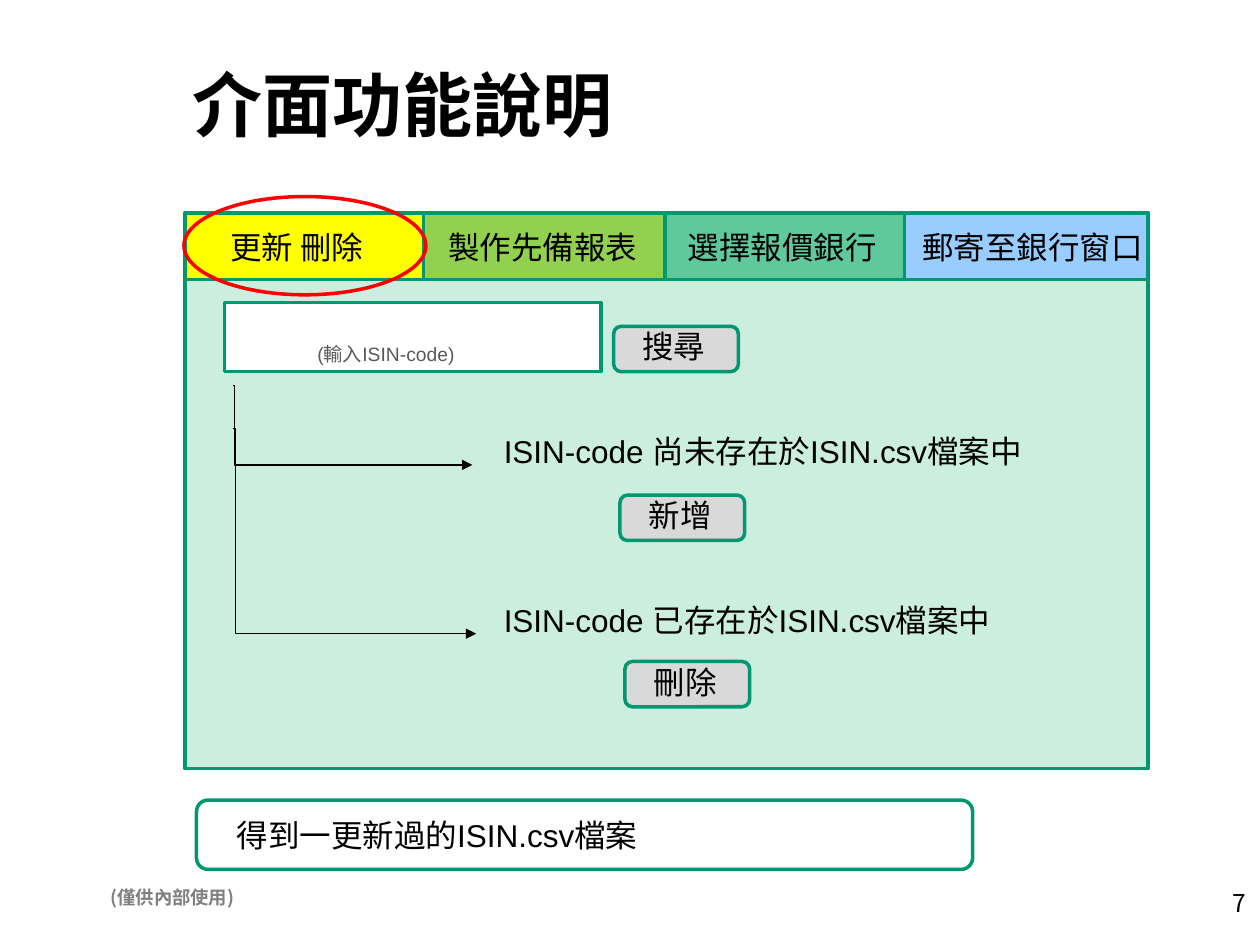
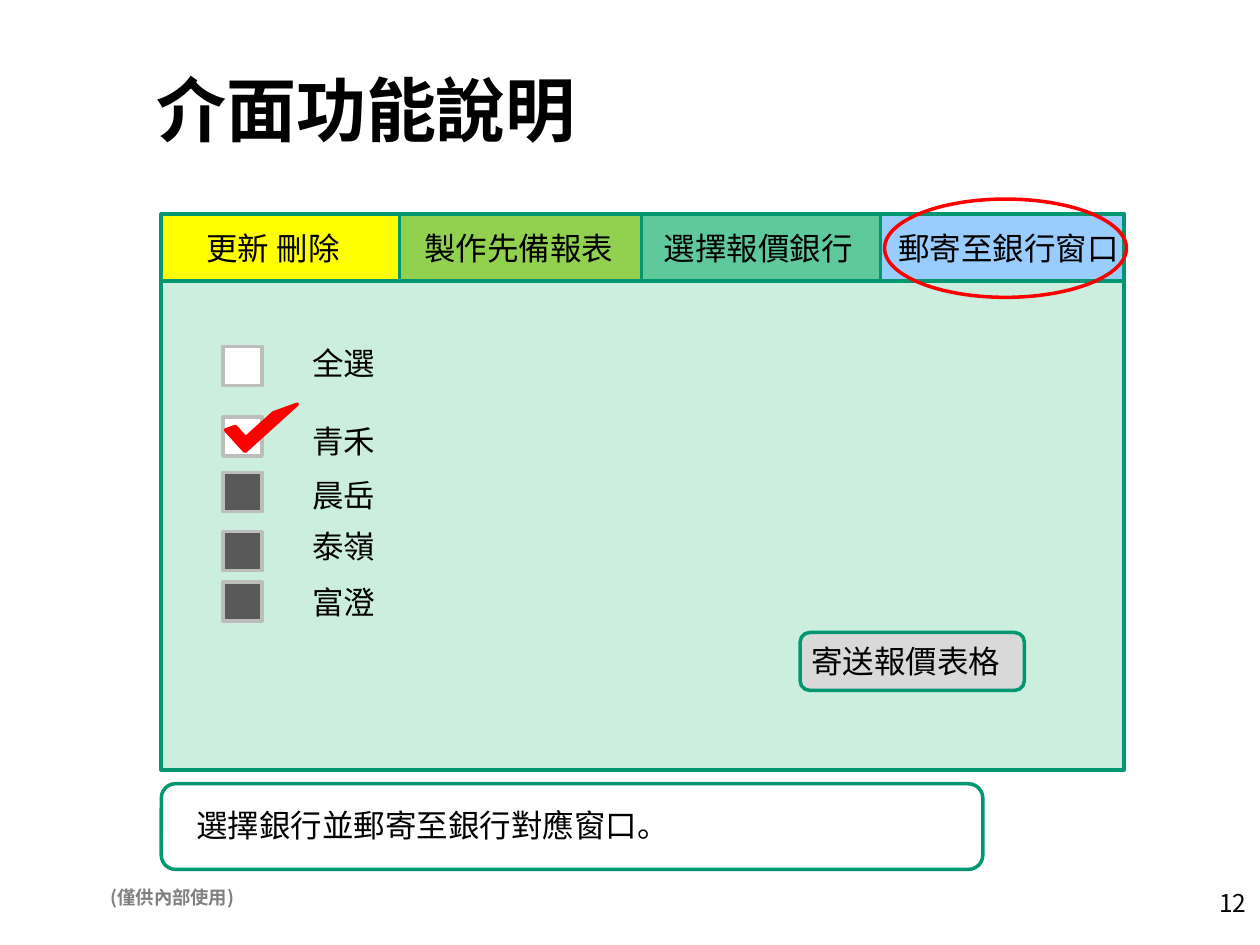
from itertools import accumulate

from lxml.etree import SubElement
from pptx import Presentation
from pptx.dml.color import RGBColor
from pptx.enum.shapes import MSO_CONNECTOR, MSO_SHAPE
from pptx.enum.text import MSO_ANCHOR, PP_ALIGN
from pptx.oxml.ns import qn
from pptx.util import Pt

PX = 9144  # EMU per px, 100 px to the inch
GREEN, RED, BLACK, WHITE = "009771", "FF0000", "000000", "FFFFFF"
MINT, LIGHT_GREY, DARK_GREY, BOX_GREY = "CCEEDF", "D9D9D9", "595959", "BDBDBD"
LATIN, CJK = "Arial", "Noto Sans CJK SC"

PANEL_W, PANEL_H, TAB_H, LINE_H = 764, 441, 53, 40
# label, width, fill, label indent
TABS = [
    ("更新 刪除", 189, "FFFF00", 26),
    ("製作先備報表", 192, "92D050", 10),
    ("選擇報價銀行", 190, "60C99C", 8),
    ("郵寄至銀行窗口", 193, "99CCFF", 4),
]
TAB_LEFTS = [0, *accumulate(width for _, width, _, _ in TABS)][:-1]


def color(hex_value):
    return RGBColor.from_string(hex_value)


def emu(*lengths):
    return [round(length * PX) for length in lengths]


def style_text(paragraph, size, ink, font_name, bold=False):
    font = paragraph.font
    font.size, font.name, font.bold = Pt(size), font_name, bold
    font.color.rgb = color(ink)
    for run in paragraph.runs:
        SubElement(run._r.get_or_add_rPr(), qn("a:ea")).set("typeface", CJK)


def add_text(slide, text, left, top, width, height=LINE_H, size=18, ink=BLACK,
             font_name=LATIN, bold=False, align=PP_ALIGN.LEFT):
    frame = slide.shapes.add_textbox(*emu(left, top, width, height)).text_frame
    frame.word_wrap = True
    frame.text = text
    paragraph = frame.paragraphs[0]
    paragraph.alignment = align
    style_text(paragraph, size, ink, font_name, bold)


def add_outline(slide, preset, left, top, width, height, fill=None, line=GREEN):
    shape = slide.shapes.add_shape(preset, *emu(left, top, width, height))
    shape.shadow.inherit = False
    if fill:
        shape.fill.solid()
        shape.fill.fore_color.rgb = color(fill)
    else:
        shape.fill.background()
    shape.line.color.rgb = color(line)
    shape.line.width = Pt(2)
    return shape


def add_branch(slide, left, top, right, bottom, bend):
    """Elbow arrow that turns at bend, in thousandths of a percent of its width."""
    arrow = slide.shapes.add_connector(
        MSO_CONNECTOR.ELBOW, *emu(left, top, right, bottom))
    arrow.line.color.rgb = color(BLACK)
    arrow.line.width = Pt(0.75)
    properties = arrow._element.spPr
    SubElement(properties.find(qn("a:ln")), qn("a:tailEnd")).set("type", "triangle")
    SubElement(properties, qn("a:effectLst"))
    guide = SubElement(properties.find(qn("a:prstGeom")).find(qn("a:avLst")), qn("a:gd"))
    guide.set("name", "adj1")
    guide.set("fmla", f"val {bend}")


def start_slide(deck, title_left, title_top, number):
    slide = deck.slides.add_slide(deck.slide_layouts[5])
    title = slide.shapes.title
    title.left, title.top, title.width, title.height = emu(title_left, title_top, 895, 67)
    frame = title.text_frame
    frame.text = "介面功能說明"
    frame.vertical_anchor = MSO_ANCHOR.MIDDLE
    frame.paragraphs[0].alignment = PP_ALIGN.LEFT
    style_text(frame.paragraphs[0], 40, BLACK, CJK, bold=True)
    add_text(slide, "(僅供內部使用)", 78, 698, 195, 28, 10.5, "808080", CJK, bold=True)
    add_text(slide, number, 957, 700, 42, 33, 14, font_name=CJK, align=PP_ALIGN.RIGHT)
    return slide


def add_panel(slide, left, top):
    add_outline(slide, MSO_SHAPE.RECTANGLE, left, top, PANEL_W, PANEL_H, MINT)
    for (_, width, fill, _), tab_left in zip(TABS, TAB_LEFTS):
        add_outline(slide, MSO_SHAPE.RECTANGLE, left + tab_left, top, width, TAB_H, fill)
    for (label, width, _, indent), tab_left in zip(TABS, TAB_LEFTS):
        add_text(slide, label, left + tab_left + indent, top + 7, width + 12)


def add_tab_marker(slide, left, top):
    add_outline(slide, MSO_SHAPE.OVAL, left, top, 192, 78, line=RED)


def add_button(slide, label, left, top, width=99, height=36, indent=13, rise=4):
    add_outline(slide, MSO_SHAPE.ROUNDED_RECTANGLE, left, top, width, height, LIGHT_GREY)
    add_text(slide, label, left + indent, top - rise, width + 10)


def add_result(slide, text, left, top, width, height, indent, drop):
    add_outline(slide, MSO_SHAPE.ROUNDED_RECTANGLE, left, top, width, height)
    add_text(slide, text, left + indent, top + drop, width - indent - 10)


def add_search(slide, left, top):
    """Search field with the two outcomes that branch from it."""
    add_outline(slide, MSO_SHAPE.RECTANGLE, left, top, 299, 55, WHITE)
    add_text(slide, "(輸入ISIN-code)", left + 64, top + 27, 267, 29, 11, DARK_GREY)
    add_button(slide, "搜尋", left + 309, top + 19)
    outcomes = [
        ("尚未存在於", "新增", 98, 66, (197, 129), 314, 153, 700),
        ("已存在於", "刪除", 232, 100, (200, 263), 318, 285, 900),
    ]
    for state, action, drop, start, end, button_x, button_y, bend in outcomes:
        add_branch(slide, left + 7, top + start, left + end[0], top + end[1], bend)
        add_text(slide, f"ISIN-code {state}ISIN.csv檔案中", left + 212, top + drop, 457)
        add_button(slide, action, left + button_x, top + button_y)


def add_bank_choices(slide, left, top):
    # name, checkbox top, label top, fill
    choices = [
        ("全選", 7, 0, WHITE),
        ("青禾", 63, 62, WHITE),
        ("晨岳", 107, 105, DARK_GREY),
        ("泰嶺", 154, 145, DARK_GREY),
        ("富澄", 194, 190, DARK_GREY),
    ]
    for name, box_top, label_top, fill in choices:
        add_outline(slide, MSO_SHAPE.RECTANGLE, left, top + box_top, 31, 31, fill, BOX_GREY)
        add_text(slide, name, left + 61, top + label_top, 181)
    tick = add_outline(slide, MSO_SHAPE.HALF_FRAME, left + 19, top + 35, 23, 56, RED, RED)
    tick.rotation = 227.9


def build_update_slide(deck):
    slide = start_slide(deck, 143, 49, "7")
    left, top = 147, 169
    add_panel(slide, left, top)
    add_search(slide, left + 31, top + 71)
    add_result(slide, "得到一更新過的ISIN.csv檔案", left + 9, top + 466, 616, 55, 22, 8)
    add_tab_marker(slide, left - 1, top - 13)


def build_mailing_slide(deck):
    slide = start_slide(deck, 114, 53, "12")
    left, top = 128, 170
    add_panel(slide, left, top)
    add_bank_choices(slide, left + 49, top + 98)
    add_button(slide, "寄送報價表格", left + 507, top + 332, 178, 46, indent=-1, rise=-3)
    add_result(slide, "選擇銀行並郵寄至銀行對應窗口。", left, top + 452, 652, 68, 18, 13)
    add_tab_marker(slide, left + TAB_LEFTS[-1] + 3, top - 12)


def main():
    deck = Presentation()
    deck.slide_width, deck.slide_height = emu(1000, 750)
    build_update_slide(deck)
    build_mailing_slide(deck)
    deck.save("out.pptx")


if __name__ == "__main__":
    main()
